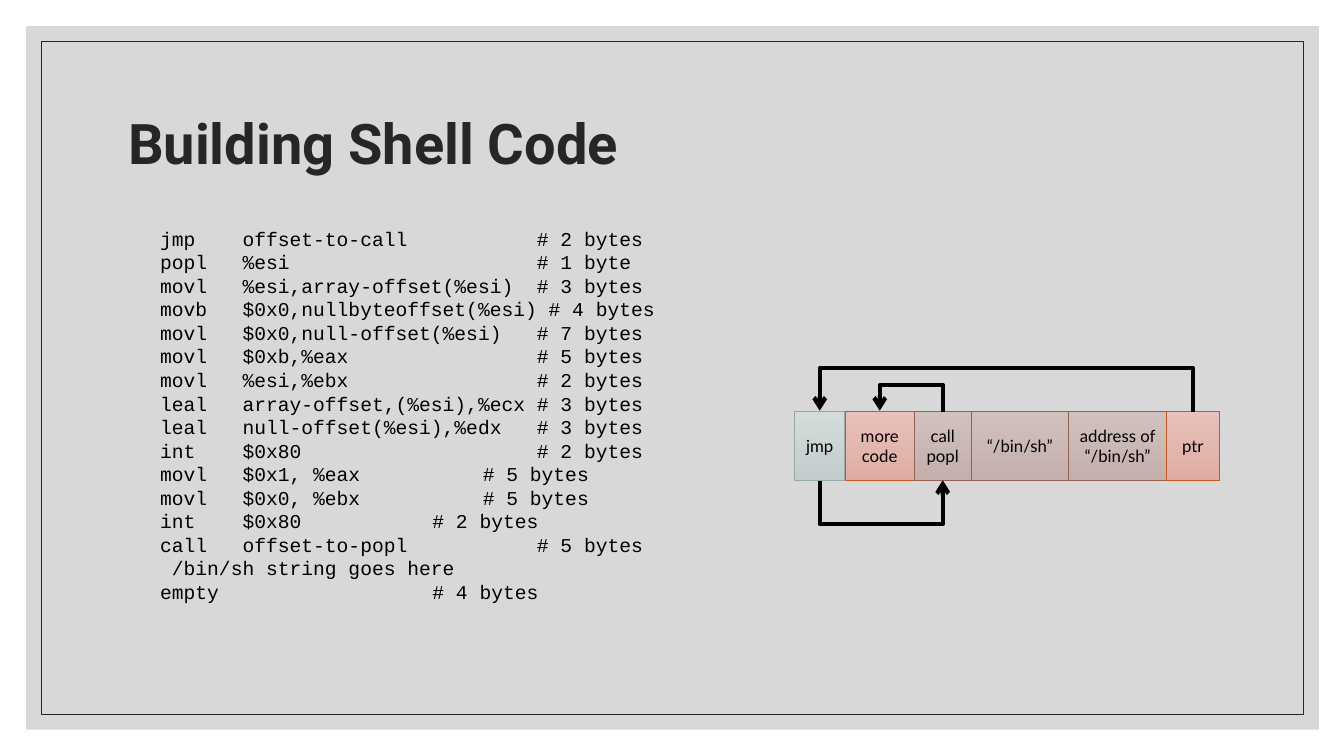
from lxml.etree import SubElement
from pptx import Presentation
from pptx.dml.color import RGBColor
from pptx.enum.shapes import MSO_CONNECTOR, MSO_SHAPE
from pptx.enum.text import MSO_ANCHOR, MSO_AUTO_SIZE, PP_ALIGN
from pptx.oxml.ns import qn
from pptx.util import Inches, Pt

BLACK = RGBColor(0x00, 0x00, 0x00)
INK = RGBColor(0x26, 0x26, 0x26)
PANEL = RGBColor(0xBF, 0xBF, 0xBF)
SALMON = (RGBColor(0xE8, 0xC1, 0xBA), RGBColor(0xDF, 0xAC, 0xA3), RGBColor(0xCB, 0x58, 0x1F))
TEAL = (RGBColor(0xD4, 0xDB, 0xDB), RGBColor(0xC3, 0xCD, 0xCD), RGBColor(0x96, 0xA9, 0xA9))
BROWN = (RGBColor(0xD1, 0xC1, 0xBE), RGBColor(0xC3, 0xAF, 0xAB), RGBColor(0x95, 0x62, 0x51))

CODE = """jmp    offset-to-call           # 2 bytes
popl   %esi                     # 1 byte
movl   %esi,array-offset(%esi)  # 3 bytes
movb   $0x0,nullbyteoffset(%esi) # 4 bytes
movl   $0x0,null-offset(%esi)   # 7 bytes
movl   $0xb,%eax                # 5 bytes
movl   %esi,%ebx                # 2 bytes
leal   array-offset,(%esi),%ecx # 3 bytes
leal   null-offset(%esi),%edx   # 3 bytes
int    $0x80                    # 2 bytes
movl   $0x1, %eax\t\t      # 5 bytes
movl   $0x0, %ebx\t\t      # 5 bytes
int    $0x80\t\t      # 2 bytes
call   offset-to-popl           # 5 bytes
 /bin/sh string goes here
empty\t\t\t      # 4 bytes"""

MEMORY_CELLS = [
    ("jmp", 0.5, TEAL),
    ("more code", 0.69, SALMON),
    ("call\npopl", 0.56, BROWN),
    ("“/bin/sh”", 0.97, BROWN),
    ("address of “/bin/sh”", 0.97, BROWN),
    ("ptr", 0.52, SALMON),
]
MEMORY_LEFT, MEMORY_TOP, MEMORY_HEIGHT = 7.88, 4.08, 0.69
MEMORY_BOTTOM = MEMORY_TOP + MEMORY_HEIGHT


class SlideBuilder:
    """Holds the text styles and the current slide, and adds its elements."""

    styles = {
        "title": {"name": "Roboto", "size": Pt(40), "bold": True},
        "code": {"name": "Courier New", "size": Pt(14)},
        "cell": {"name": "Lato", "size": Pt(12)},
    }

    def __init__(self, presentation):
        """Add a title-only slide."""
        self.slide = presentation.slides.add_slide(presentation.slide_layouts[5])

    def fill_text(self, shape, text, style, color=BLACK, align=PP_ALIGN.LEFT, anchor=MSO_ANCHOR.TOP):
        """Put styled text in a shape."""
        frame = shape.text_frame
        frame.text = text
        frame.word_wrap = True
        frame.vertical_anchor = anchor
        for paragraph in frame.paragraphs:
            paragraph.alignment = align
            for name, value in self.styles[style].items():
                setattr(paragraph.font, name, value)
            paragraph.font.color.rgb = color
        return frame

    def title(self, text, box):
        """Move and fill the title placeholder, in front of the panel."""
        shape = self.slide.shapes.title
        for name, value in zip(("left", "top", "width", "height"), box):
            setattr(shape, name, Inches(value))
        frame = self.fill_text(shape, text, "title", INK, anchor=MSO_ANCHOR.MIDDLE)
        frame.auto_size = MSO_AUTO_SIZE.NONE
        frame.paragraphs[0].line_spacing = 0.9
        shape._element.getparent().append(shape._element)

    def rectangle(self, box):
        """Add a rectangle without a shadow."""
        shape = self.slide.shapes.add_shape(MSO_SHAPE.RECTANGLE, *map(Inches, box))
        shape.shadow.inherit = False
        return shape

    def panel(self, box, color, opacity):
        """Add a translucent background panel."""
        shape = self.rectangle(box)
        shape.fill.solid()
        shape.fill.fore_color.rgb = color
        shape.line.fill.background()
        color_element = shape._element.spPr.find(qn("a:solidFill"))[0]
        SubElement(color_element, qn("a:alpha"), val=str(opacity * 1000))

    def border(self, box, color):
        """Add a thin unfilled frame."""
        shape = self.rectangle(box)
        shape.fill.background()
        shape.line.color.rgb = color
        shape.line.width = Pt(0.5)

    def code(self, text, box):
        """Add a code listing."""
        shape = self.slide.shapes.add_textbox(*map(Inches, box))
        self.fill_text(shape, text, "code")

    def cell(self, text, box, colors):
        """Add a memory cell with a vertical gradient."""
        shape = self.rectangle(box)
        shape.fill.gradient()
        shape.fill.gradient_angle = 270
        for stop, position, color in zip(shape.fill.gradient_stops, (0, 1), colors):
            stop.position = position
            stop.color.rgb = color
        shape.line.color.rgb = colors[2]
        shape.line.width = Pt(0.5)
        self.fill_text(shape, text, "cell", align=PP_ALIGN.CENTER, anchor=MSO_ANCHOR.MIDDLE)

    def jump(self, start, end, level, rise):
        """Add a U-shaped arrow between two points on one level."""
        depth, span, middle = 0.01, abs(end - start), (start + end) / 2
        left, top = middle - depth / 2, level - span / 2
        corners = map(Inches, (left, top, left + depth, top + span))
        connector = self.slide.shapes.add_connector(MSO_CONNECTOR.ELBOW, *corners)
        connector.line.color.rgb = BLACK
        connector.line.width = Pt(3)
        properties = connector._element.spPr
        transform = properties.find(qn("a:xfrm"))
        transform.set("rot", str(270 * 60000))
        if end < start:
            transform.set("flipV", "1")
        adjustments = properties.find(qn("a:prstGeom")).find(qn("a:avLst"))
        bend = round(rise / depth * 100000)
        SubElement(adjustments, qn("a:gd"), name="adj1", fmla=f"val {bend}")
        SubElement(properties.find(qn("a:ln")), qn("a:tailEnd"), type="arrow")
        SubElement(properties, qn("a:effectLst"))


def main():
    """Build and save the slide."""
    presentation = Presentation()
    presentation.slide_width, presentation.slide_height = Inches(13.33), Inches(7.5)
    builder = SlideBuilder(presentation)
    builder.panel((0.26, 0.26, 12.82, 6.98), PANEL, 60)
    builder.border((0.41, 0.41, 12.52, 6.68), INK)
    builder.title("Building Shell Code", (1.17, 0.7, 11, 1.5))
    builder.code(CODE, (1.49, 2.2, 5.94, 3.87))

    left, centers = MEMORY_LEFT, []
    for text, width, colors in MEMORY_CELLS:
        builder.cell(text, (left, MEMORY_TOP, width, MEMORY_HEIGHT), colors)
        centers.append(left + width / 2)
        left += width

    jmp, more_code, call, _, _, ptr = centers
    builder.jump(ptr, jmp, MEMORY_TOP, 0.44)
    builder.jump(jmp, call, MEMORY_BOTTOM, -0.43)
    builder.jump(call, more_code, MEMORY_TOP, 0.27)
    presentation.save("out.pptx")


if __name__ == "__main__":
    main()
